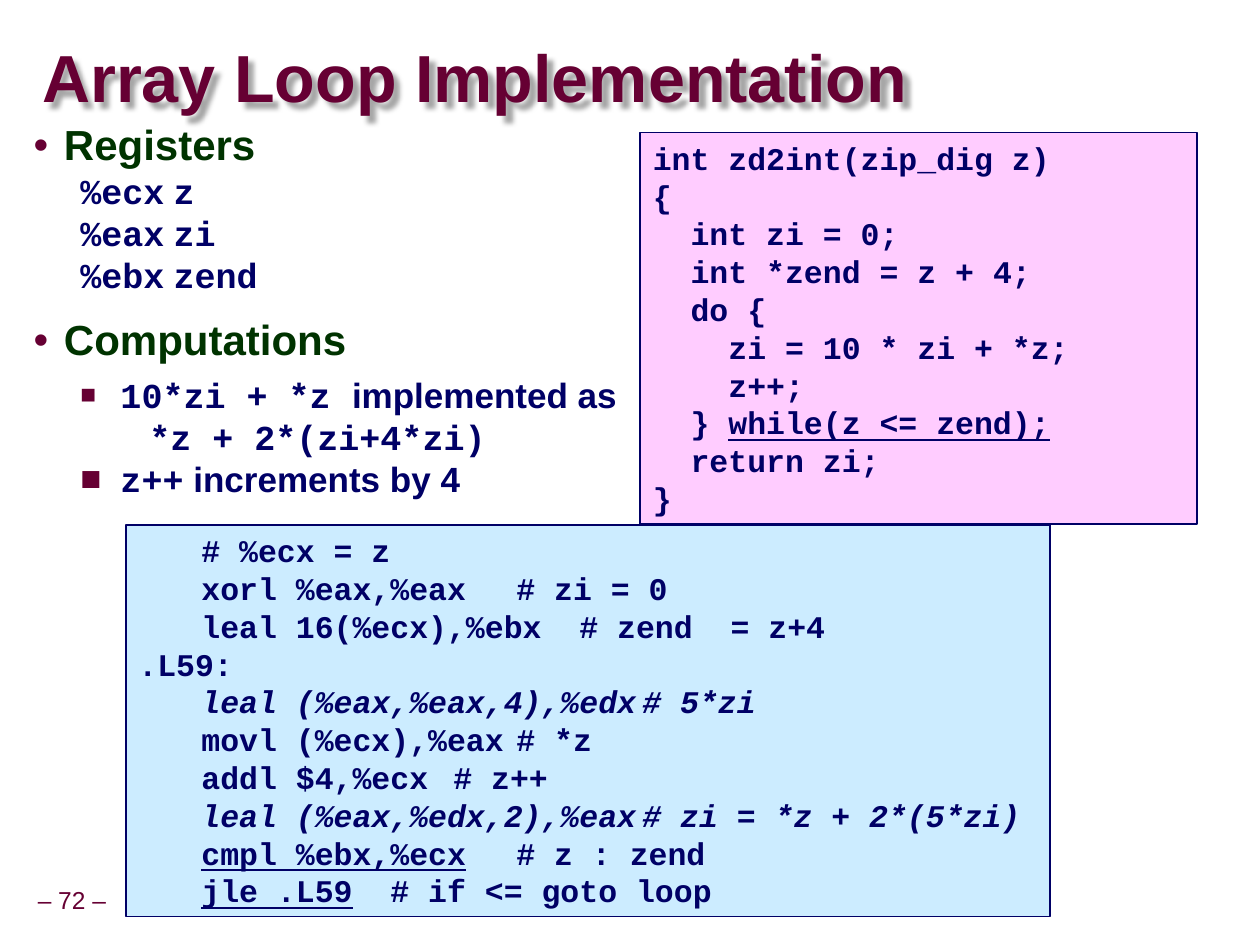
from lxml.etree import SubElement
from pptx import Presentation
from pptx.dml.color import RGBColor
from pptx.enum.shapes import MSO_SHAPE as Shape
from pptx.enum.text import MSO_ANCHOR as Anchor, MSO_AUTO_SIZE as AutoSize, PP_ALIGN as Align
from pptx.oxml.ns import qn
from pptx.util import Cm, Pt

MAROON = RGBColor(0x66, 0x00, 0x33)
GREEN = RGBColor(0x00, 0x33, 0x00)
NAVY = RGBColor(0x00, 0x00, 0x66)
PINK = RGBColor(0xFF, 0xCC, 0xFF)
SKY = RGBColor(0xCC, 0xEC, 0xFF)
SANS, MONO = "Arial", "Courier New"

C_CODE = [
    "int zd2int(zip_dig z)",
    "{",
    "  int zi = 0;",
    "  int *zend = z + 4;",
    "  do {",
    "    zi = 10 * zi + *z;",
    "    z++;",
    [("  } ", {}), ("while(z <= zend);", {"underline": True})],
    "  return zi;",
    "}",
]
ASSEMBLY = [
    "\t# %ecx = z",
    "\txorl %eax,%eax\t# zi = 0",
    "\tleal 16(%ecx),%ebx\t# zend  = z+4",
    ".L59:",
    [("\tleal (%eax,%eax,4),%edx\t# 5*zi", {"italic": True})],
    "\tmovl (%ecx),%eax\t# *z",
    "\taddl $4,%ecx\t# z++",
    [("\tleal (%eax,%edx,2),%eax\t# zi = *z + 2*(5*zi)", {"italic": True})],
    [("\t", {}), ("cmpl %ebx,%ecx", {"underline": True}), ("\t# z : zend", {})],
    [("\t", {}), ("jle .L59", {"underline": True}), ("\t# if <= goto loop", {})],
]
REGISTERS = [("%ecx", "z"), ("%eax", "zi"), ("%ebx", "zend")]


def write(paragraph, text, font=MONO, size=20, color=NAVY, bold=True, italic=False, underline=False):
    run = paragraph.add_run()
    run.text = text
    run.font.name = font
    run.font.size = Pt(size)
    run.font.color.rgb = color
    run.font.bold = bold
    run.font.italic = italic
    run.font.underline = underline


def next_paragraph(frame):
    first = frame.paragraphs[0]
    return first if not first.runs else frame.add_paragraph()


def layout_paragraph(paragraph, margin=0, hanging=0, bullet=None, bullet_size=100, tabs=()):
    props = paragraph._p.get_or_add_pPr()
    props.set("marL", str(Cm(margin)))
    props.set("indent", str(-Cm(hanging)))
    if bullet:
        tint = SubElement(props, qn("a:buClr"))
        SubElement(tint, qn("a:srgbClr"), val=str(MAROON))
        SubElement(props, qn("a:buSzPct"), val=str(bullet_size * 1000))
        SubElement(props, qn("a:buFont"), typeface=SANS)
        SubElement(props, qn("a:buChar"), char=bullet)
    else:
        SubElement(props, qn("a:buNone"))
    if tabs:
        stops = SubElement(props, qn("a:tabLst"))
        for stop in tabs:
            SubElement(stops, qn("a:tab"), pos=str(Cm(stop)), algn="l")


def set_frame(frame, inset_x=0.25, inset_y=0.13, anchor=Anchor.TOP, wrap=True):
    frame.auto_size = AutoSize.NONE
    frame.word_wrap = wrap
    frame.vertical_anchor = anchor
    frame.margin_left = frame.margin_right = Cm(inset_x)
    frame.margin_top = frame.margin_bottom = Cm(inset_y)


def place_title(slide, left, top, width, height):
    title = slide.shapes.title
    title.left, title.top, title.width, title.height = map(Cm, (left, top, width, height))
    set_frame(title.text_frame, 0, 0, Anchor.MIDDLE)
    heading = title.text_frame.paragraphs[0]
    heading.alignment = Align.LEFT
    heading.line_spacing = 0.87
    write(heading, "Array Loop Implementation", font=SANS, size=38, color=MAROON)
    effects = SubElement(title._element.spPr, qn("a:effectLst"))
    shadow = SubElement(effects, qn("a:outerShdw"), blurRad=str(Cm(0.1)),
                        dist=str(Cm(0.15)), dir="2700000", algn="ctr", rotWithShape="0")
    tint = SubElement(shadow, qn("a:srgbClr"), val="000000")
    SubElement(tint, qn("a:alpha"), val="35000")


def place_notes(slide, left, top, width, height):
    notes = slide.shapes.add_textbox(*map(Cm, (left, top, width, height))).text_frame
    set_frame(notes)
    notes.margin_right = 0

    def topic(text, before=0):
        heading = next_paragraph(notes)
        layout_paragraph(heading, 0.61, 0.61, "•")
        heading.line_spacing = 0.95
        heading.space_before = Pt(before)
        write(heading, text, font=SANS, size=24, color=GREEN)

    def item(parts, before=0, **layout):
        line = next_paragraph(notes)
        layout_paragraph(line, **layout)
        line.space_before = Pt(before)
        for text, font in parts:
            write(line, text, font=font)

    topic("Registers")
    for register, variable in REGISTERS:
        item([(f"{register}\t{variable}", MONO)], margin=1.55, hanging=0.61, tabs=[3.18])
    topic("Computations", before=12)
    item([("10*zi + *z", MONO), (" ", MONO), ("implemented as", SANS)], before=5,
         margin=1.75, hanging=0.81, bullet="■", bullet_size=75)
    item([("*z + 2*(zi+4*zi)", MONO)], margin=2.33)
    item([("z++", MONO), (" increments by 4", SANS)], margin=1.75, hanging=0.81, bullet="■")


def place_code(slide, lines, fill, left, top, width, height, tabs=()):
    panel = slide.shapes.add_shape(Shape.RECTANGLE, *map(Cm, (left, top, width, height)))
    panel.shadow.inherit = False
    panel.fill.solid()
    panel.fill.fore_color.rgb = fill
    panel.line.color.rgb = NAVY
    panel.line.width = Pt(1)
    set_frame(panel.text_frame)
    for line in lines:
        paragraph = next_paragraph(panel.text_frame)
        paragraph.alignment = Align.LEFT
        layout_paragraph(paragraph, tabs=tabs)
        for text, style in [(line, {})] if isinstance(line, str) else line:
            write(paragraph, text, size=18, **style)


def place_page_number(slide, left, top, width, height):
    frame = slide.shapes.add_textbox(*map(Cm, (left, top, width, height))).text_frame
    set_frame(frame, 0.13, 0.13, Anchor.MIDDLE, wrap=False)
    number = frame.paragraphs[0]
    number.alignment = Align.CENTER
    number.line_spacing = 0.9
    write(number, "– 72 –", font=SANS, size=14, color=MAROON, bold=False)


def main():
    deck = Presentation()
    deck.slide_width, deck.slide_height = Cm(25.4), Cm(19.05)
    slide = deck.slides.add_slide(deck.slide_layouts[5])
    place_page_number(slide, 0.61, 17.78, 1.68, 0.79)
    place_title(slide, 0.85, 0.85, 23.28, 1.6)
    place_notes(slide, 0.43, 2.33, 12.27, 6.05)
    place_code(slide, ASSEMBLY, SKY, 2.54, 10.58, 18.63, 7.9, tabs=[0.95, 10.16])
    place_code(slide, C_CODE, PINK, 12.91, 2.67, 11.22, 7.9)
    deck.save("out.pptx")


if __name__ == "__main__":
    main()
